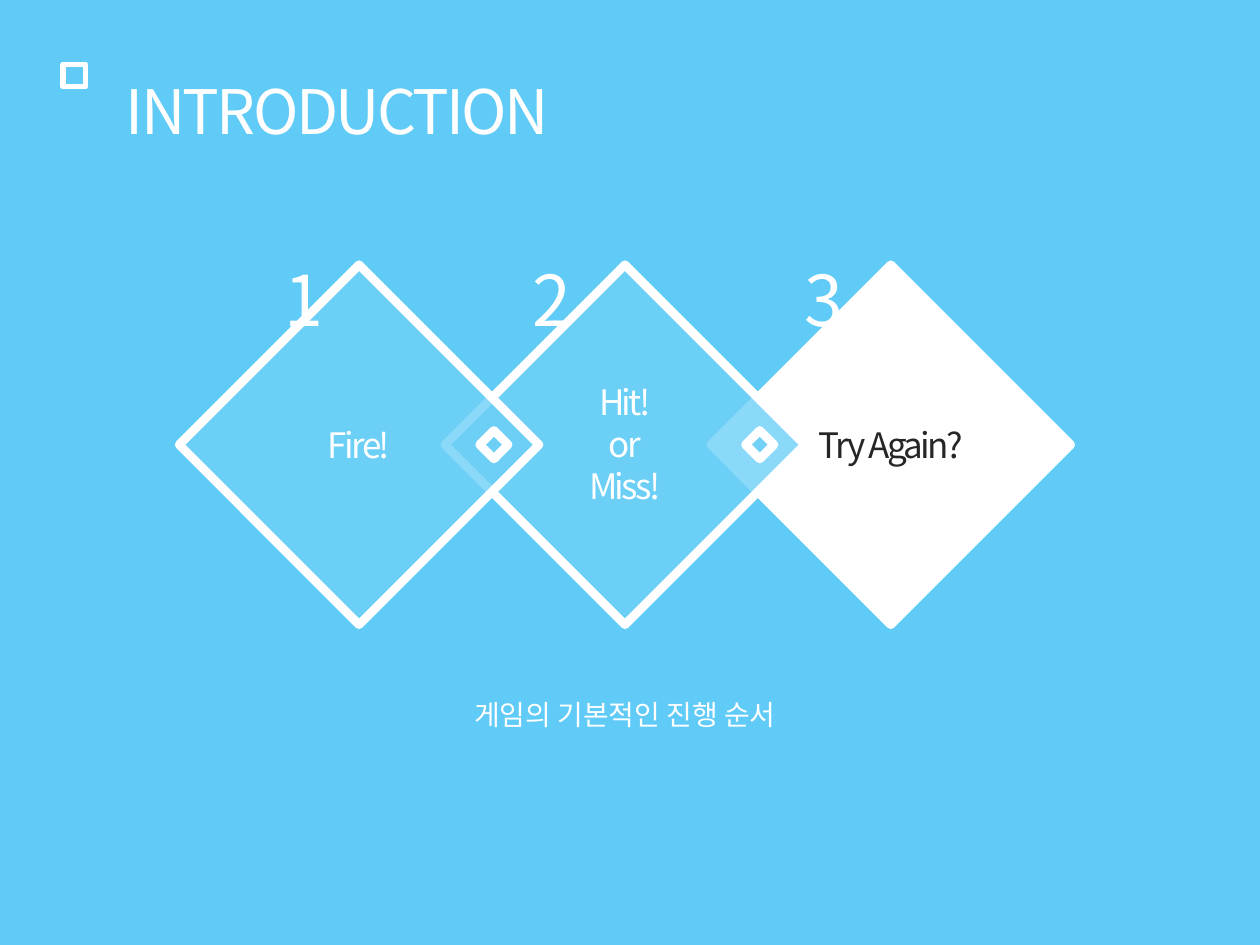
import dataclasses

import pptx
import pptx.dml.color
import pptx.enum.shapes
import pptx.enum.text
import pptx.oxml.ns
import pptx.oxml.xmlchemy
import pptx.util

ALIGN = pptx.enum.text.PP_ALIGN
COLS, ROWS = 100, 75


@dataclasses.dataclass(frozen=True)
class Theme:
    """Colours, typeface and type sizes of the slide."""
    back: str = "60CBF6"
    pale: str = "6ED0F7"
    white: str = "FFFFFF"
    dark: str = "262626"
    font: str = "Noto Sans CJK KR"
    title: int = 35
    number: int = 40
    label: int = 20
    caption: int = 16
    tight: float = -1.5
    frame: int = 5
    marker: int = 3


THEME = Theme()


def rgb(code):
    """Return a colour object for a hex code."""
    return pptx.dml.color.RGBColor.from_string(code)


def grid(*cells):
    """Turn grid columns and rows into lengths."""
    return [pptx.util.Inches(n * 10 / COLS) for n in cells]


def add_square(s, box, weight, fill=None, alpha=100, turn=0):
    """Draw a white-framed square, turned and tinted as asked."""
    sp = s.shapes.add_shape(pptx.enum.shapes.MSO_SHAPE.RECTANGLE, *grid(*box))
    sp.shadow.inherit = False
    sp.rotation = turn
    sp.line.color.rgb = rgb(THEME.white)
    sp.line.width = pptx.util.Pt(weight)
    if fill is None:
        sp.fill.background()
        return
    sp.fill.solid()
    sp.fill.fore_color.rgb = rgb(fill)
    if alpha < 100:
        clr = sp._element.spPr.find(".//" + pptx.oxml.ns.qn("a:srgbClr"))
        node = pptx.oxml.xmlchemy.OxmlElement("a:alpha")
        node.set("val", str(alpha * 1000))
        clr.append(node)


def add_text(s, box, text, size, color=THEME.white, align=ALIGN.CENTER,
             spacing=0, leading=None):
    """Place a text box, one paragraph to a line of text."""
    tf = s.shapes.add_textbox(*grid(*box)).text_frame
    tf.word_wrap = True
    tf.text = text
    for p in tf.paragraphs:
        p.alignment = align
        if leading:
            p.line_spacing = leading
        for r in p.runs:
            r.font.name = THEME.font
            r.font.size = pptx.util.Pt(size)
            r.font.color.rgb = rgb(color)
            rpr = r.font._element
            if spacing:
                rpr.set("spc", str(int(spacing * 100)))
            ea = pptx.oxml.xmlchemy.OxmlElement("a:ea")
            ea.set("typeface", THEME.font)
            rpr.find(pptx.oxml.ns.qn("a:latin")).addnext(ea)


def add_header(s, box):
    """Draw the corner marker and the title."""
    x, y, w, h = box
    add_square(s, (x, y, 1.8, 1.8), THEME.marker)
    add_text(s, (x + 4, y + 0.9, w - 4, h - 0.9), "INTRODUCTION", THEME.title,
             align=ALIGN.LEFT, spacing=THEME.tight, leading=0.9)


def add_step(s, box, number, shift, last):
    """Draw one diamond with its number and, before the last, a joint."""
    x, y, w, h = box
    fill, alpha = (THEME.white, 100) if last else (THEME.pale, 80)
    add_square(s, box, THEME.frame, fill, alpha, 45)
    if not last:
        joint = 1.6
        add_square(s, (x + 20, y + (h - joint) / 2, joint, joint),
                   THEME.frame, fill, alpha, 45)
    add_text(s, (x + shift, y - 5.3, 7.8, 7.7), str(number), THEME.number)


def add_steps(s, box):
    """Draw the chain of steps from right to left, then their labels."""
    x, y, w, side = box
    steps = [("Fire!", 1.8, THEME.white), ("Hit!\nor\nMiss!", 0.4, THEME.white),
             ("Try Again?", 0.9, THEME.dark)]
    pitch = (w - side) / (len(steps) - 1)
    for i, (label, shift, color) in reversed(list(enumerate(steps))):
        add_step(s, (x + i * pitch, y, side, side), i + 1, shift,
                 i == len(steps) - 1)
    for i, (label, shift, color) in enumerate(steps):
        h = 1 + 3.37 * len(label.split("\n"))
        add_text(s, (x + i * pitch + 2.2, y + (side - h) / 2, 15.8, h), label,
                 THEME.label, color, spacing=THEME.tight)


def add_caption(s, box):
    """Place the line below the chain."""
    add_text(s, box, "게임의 기본적인 진행 순서", THEME.caption)


def main():
    """Build and save the slide."""
    prs = pptx.Presentation()
    prs.slide_width, prs.slide_height = grid(COLS, ROWS)
    s = prs.slides.add_slide(prs.slide_layouts[6])
    s.background.fill.solid()
    s.background.fill.fore_color.rgb = rgb(THEME.back)
    add_header(s, (5, 5.1, 89.8, 8.3))
    add_steps(s, (18.4, 25.2, 62.4, 20.2))
    add_caption(s, (22.9, 54.9, 53.4, 3.7))
    prs.save("out.pptx")


if __name__ == "__main__":
    main()
